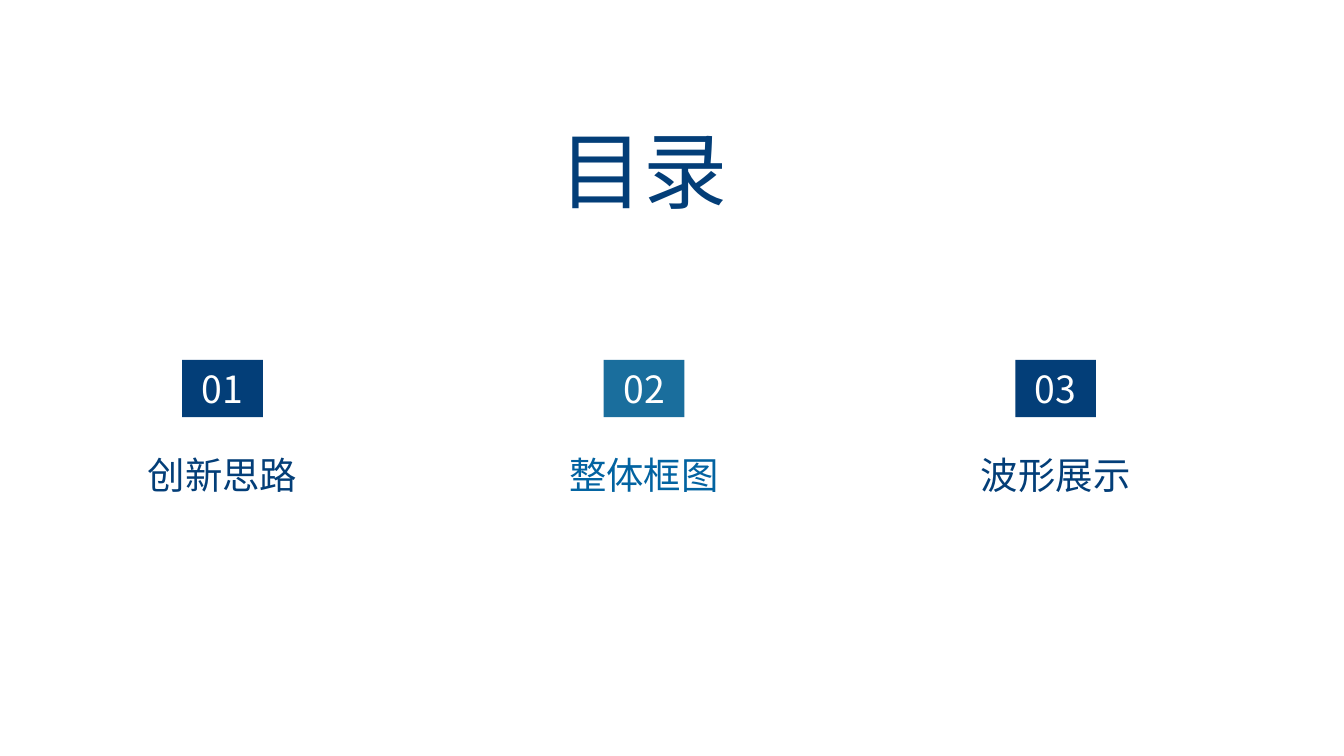
"""Build a contents slide with three numbered topics."""
from dataclasses import dataclass

from lxml import etree
from pptx import Presentation
from pptx.dml.color import RGBColor
from pptx.enum.shapes import MSO_SHAPE
from pptx.enum.text import MSO_ANCHOR, MSO_AUTO_SIZE, PP_ALIGN
from pptx.oxml.ns import qn
from pptx.shapes.base import BaseShape
from pptx.slide import Slide
from pptx.util import Inches, Pt

RECT = MSO_SHAPE.RECTANGLE
CENTER = PP_ALIGN.CENTER
TOP, MIDDLE = MSO_ANCHOR.TOP, MSO_ANCHOR.MIDDLE
NONE = MSO_AUTO_SIZE.NONE
WIDTH, HEIGHT = Inches(13.33), Inches(7.5)
FONT = "Noto Sans CJK SC"
COLORS = {"navy": "033E78", "teal": "1A6E9D", "blue": "0263A1", "white": "FFFFFF"}
TITLE = {"vertical_anchor": TOP, "word_wrap": False, "auto_size": NONE}
BADGE = {"vertical_anchor": MIDDLE, "word_wrap": False}
LABEL = {"vertical_anchor": TOP, "word_wrap": True}


@dataclass
class Band:
    """Row of equal boxes, in percent of the slide."""
    top: float
    width: float
    height: float

    def box(self, mid: float) -> tuple[int, int, int, int]:
        """Give left, top, width and height around a centre."""
        shares = ((mid - self.width / 2, WIDTH), (self.top, HEIGHT),
                  (self.width, WIDTH), (self.height, HEIGHT))
        left, top, width, height = (round(part * full / 100) for part, full in shares)
        return left, top, width, height


@dataclass
class Topic:
    """Numbered entry of the contents."""
    name: str
    mid: float
    fill: str
    ink: str


HEAD = Band(15.07, 14.1, 14.8)
BADGES = Band(47.6, 6, 7.6)
LABELS = Band(59.2, 18.08, 7.33)
TOPICS = [
    Topic("创新思路", 16.56, "navy", "navy"),
    Topic("整体框图", 47.92, "teal", "blue"),
    Topic("波形展示", 78.55, "navy", "navy"),
]


def paint(name: str) -> RGBColor:
    """Look up a colour by name."""
    return RGBColor.from_string(COLORS[name])


def write(shape: BaseShape, text: str, size: float, ink: str, form: dict) -> None:
    """Put one centred line of text in a shape."""
    frame = shape.text_frame
    for key, value in form.items():
        setattr(frame, key, value)
    line = frame.paragraphs[0]
    line.alignment = CENTER
    run = line.add_run()
    run.text = text
    for key, value in {"name": FONT, "size": Pt(size)}.items():
        setattr(run.font, key, value)
    run.font.color.rgb = paint(ink)
    props = run.font._element
    etree.SubElement(props, qn("a:ea")).set("typeface", FONT)


def draw(slide: Slide, rank: int, topic: Topic) -> None:
    """Draw the badge and label of a topic."""
    badge = slide.shapes.add_shape(RECT, *BADGES.box(topic.mid))
    badge.shadow.inherit = False
    badge.fill.solid()
    badge.fill.fore_color.rgb = paint(topic.fill)
    badge.line.fill.background()
    write(badge, f"{rank:02}", 26.7, "white", BADGE)
    label = slide.shapes.add_textbox(*LABELS.box(topic.mid))
    write(label, topic.name, 26.7, topic.ink, LABEL)


def main() -> None:
    """Make the slide and save it."""
    deck = Presentation()
    deck.slide_width, deck.slide_height = WIDTH, HEIGHT
    slide = deck.slides.add_slide(deck.slide_layouts[5])
    title = slide.shapes.title
    title.left, title.top, title.width, title.height = HEAD.box(47.86)
    write(title, "目录", 60, "navy", TITLE)
    for rank, topic in enumerate(TOPICS, 1):
        draw(slide, rank, topic)
    deck.save("out.pptx")


if __name__ == "__main__":
    main()
